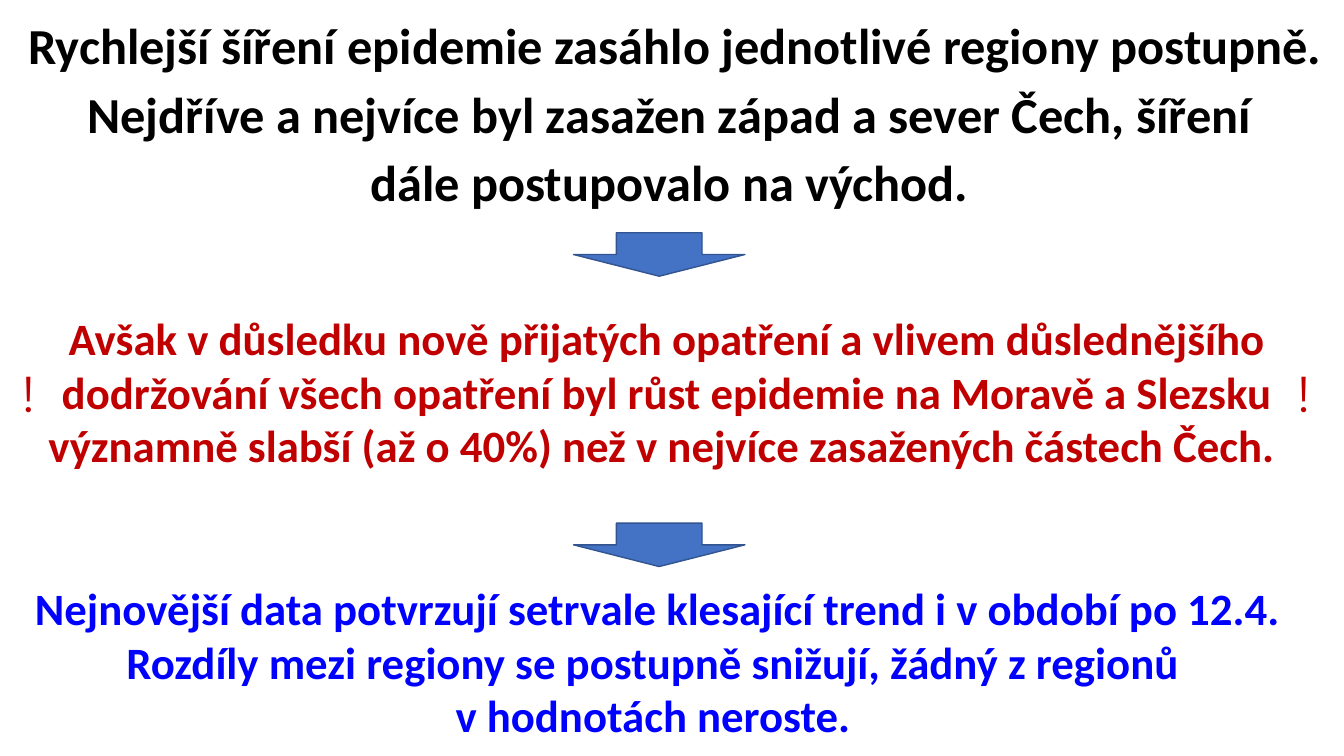
import pptx
import pptx.util
import pptx.dml.color
import pptx.enum.shapes
import pptx.enum.text

Pt = pptx.util.Pt
ALIGN = pptx.enum.text.PP_ALIGN

# Content
HEADLINE = [
    "Rychlejší šíření epidemie zasáhlo jednotlivé regiony postupně. ",
    "Nejdříve a nejvíce byl zasažen západ a sever Čech, šíření ",
    "dále postupovalo na východ. ",
]
MEASURES = [
    "Avšak v důsledku nově přijatých opatření a vlivem důslednějšího "
    "dodržování všech opatření byl růst epidemie na Moravě a Slezsku "
    "významně slabší (až o 40%) než v nejvíce zasažených částech Čech. ",
]
TREND = [
    "Nejnovější data potvrzují setrvale klesající trend i v období po 12.4. "
    "Rozdíly mezi regiony se postupně snižují, žádný z regionů ",
    "v hodnotách neroste. ",
]

# Layout in points: left, top, width, height
HEADLINE_BOX = (11.5, 11.5, 941.8, 147.6)
STATEMENTS = [
    (MEASURES, (21.6, 218.2, 910, 123.8), "C00000"),
    (TREND, (15.1, 411.1, 910, 123.8), "0000FF"),
]
ARROW_LEFT, ARROW_WIDTH, ARROW_HEIGHT = 409.7, 122.4, 31
ARROW_TOPS = (166.3, 373.7)
MARK_LEFTS = (8.6, 919.4)
MARK_TOP, MARK_WIDTH, MARK_HEIGHT = 254.9, 26.6, 51.1


def rgb(value):
    return pptx.dml.color.RGBColor.from_string(value)


def write(sp, lines, size, color, font="Calibri", bold=True,
          align=ALIGN.CENTER, spacing=None, before=0):
    tf = sp.text_frame
    tf.word_wrap = True
    tf.auto_size = pptx.enum.text.MSO_AUTO_SIZE.NONE
    tf.vertical_anchor = pptx.enum.text.MSO_ANCHOR.TOP
    for i, line in enumerate(lines):
        p = tf.paragraphs[0] if i == 0 else tf.add_paragraph()
        p.alignment = align
        p.space_before = Pt(before if i else 0)
        if spacing:
            p.line_spacing = spacing
        r = p.add_run()
        r.text = line
        r.font.name = font
        r.font.size = Pt(size)
        r.font.bold = bold
        r.font.color.rgb = rgb(color)


def main():
    prs = pptx.Presentation()
    prs.slide_width, prs.slide_height = Pt(960), Pt(540)
    s = prs.slides.add_slide(prs.slide_layouts[5])

    # Headline
    title = s.shapes.title
    title.left, title.top, title.width, title.height = map(Pt, HEADLINE_BOX)
    write(title, HEADLINE, 36, "000000", spacing=0.9, before=10)

    # Statements below the headline
    for lines, box, color in STATEMENTS:
        write(s.shapes.add_textbox(*map(Pt, box)), lines, 32, color)

    # Arrows leading from one statement to the next
    for top in ARROW_TOPS:
        sp = s.shapes.add_shape(
            pptx.enum.shapes.MSO_SHAPE.DOWN_ARROW,
            Pt(ARROW_LEFT), Pt(top), Pt(ARROW_WIDTH), Pt(ARROW_HEIGHT))
        sp.shadow.inherit = False
        sp.fill.solid()
        sp.fill.fore_color.rgb = rgb("4472C4")
        sp.line.color.rgb = rgb("325491")
        sp.line.width = Pt(1)

    # Exclamation marks on both sides of the measures
    for left in MARK_LEFTS:
        sp = s.shapes.add_textbox(Pt(left), Pt(MARK_TOP),
                                  Pt(MARK_WIDTH), Pt(MARK_HEIGHT))
        write(sp, ["!"], 36, "C00000", font="Montserrat", bold=False,
              align=ALIGN.LEFT)

    prs.save("out.pptx")


if __name__ == "__main__":
    main()
